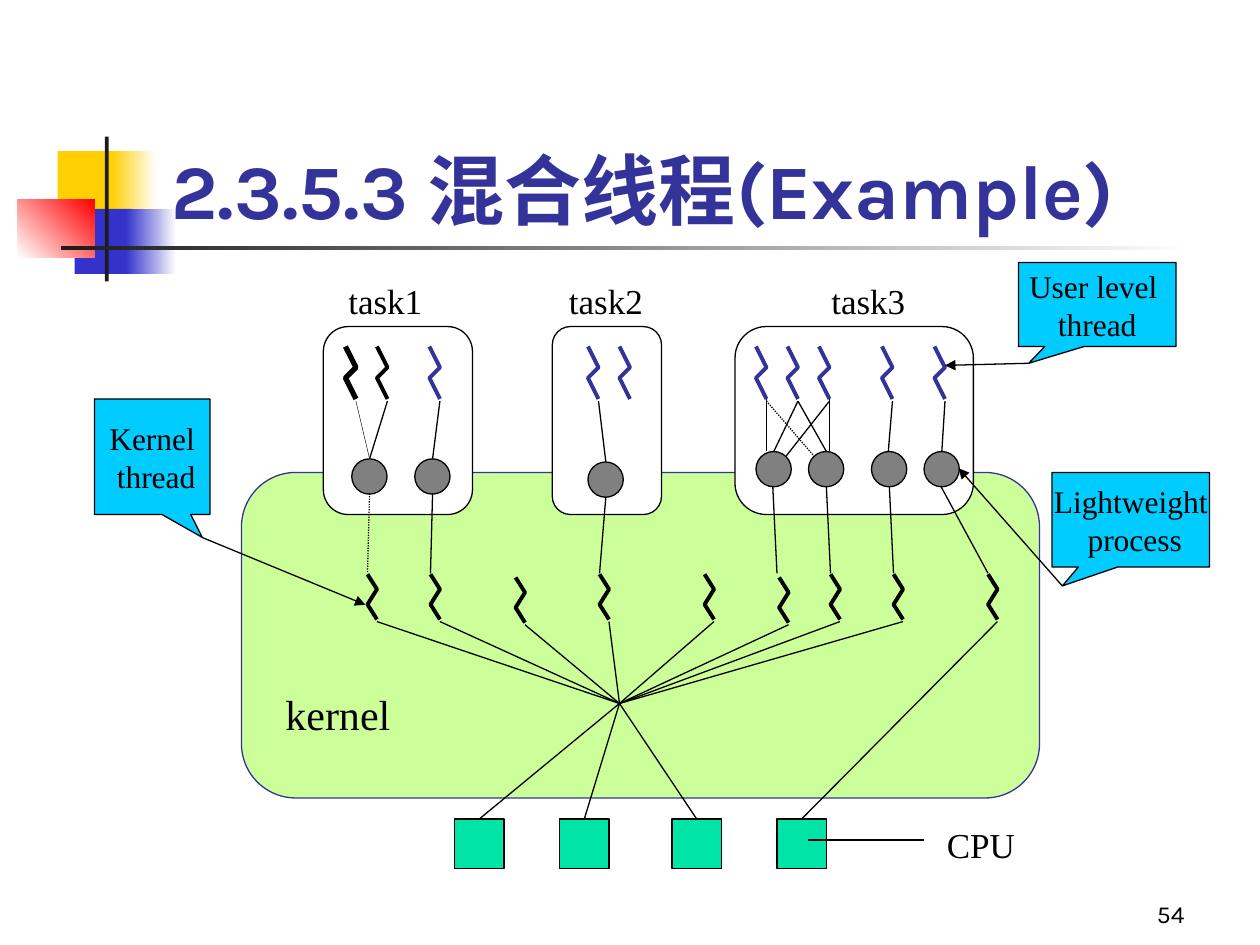
from dataclasses import dataclass
from typing import Optional

from lxml import etree
from pptx import Presentation
from pptx import util as u
from pptx.dml.color import RGBColor
from pptx.enum import dml, shapes, text
from pptx.oxml import ns

BLACK = RGBColor(0x00, 0x00, 0x00)
WHITE = RGBColor(0xFF, 0xFF, 0xFF)
NAVY = RGBColor(0x33, 0x33, 0x99)
BLUE = RGBColor(0x33, 0x33, 0xCC)
YELLOW = RGBColor(0xFF, 0xCF, 0x01)
RED = RGBColor(0xFF, 0x00, 0x00)
CHARCOAL = RGBColor(0x1C, 0x1C, 0x1C)
LIME = RGBColor(0xCC, 0xFF, 0x99)
MINT = RGBColor(0x00, 0xE4, 0xA8)
CYAN = RGBColor(0x00, 0xCC, 0xFF)
GRAY = RGBColor(0x80, 0x80, 0x80)

SERIF, SANS = "Times New Roman", "Karla"
COLUMNS = 120
HUB = (59, 67)
USER_ROW, KERNEL_ROW = 33, 54.7
USER_ZIGZAG = [(0, 0), (1, 2), (0, 3), (1, 5)]
KERNEL_ZIGZAG = [(0, 0), (0.9, 1.43), (0, 2.87), (0.9, 4.3)]
CALLOUT_TIP = (0.435, 0.7)

Kind = shapes.MSO_SHAPE
Align = text.PP_ALIGN
Anchor = text.MSO_ANCHOR

deck = Presentation()
deck.slide_width, deck.slide_height = u.Inches(10), u.Inches(7.5)
page = deck.slides.add_slide(deck.slide_layouts[5])


@dataclass
class Area:
    left: float
    top: float
    width: float
    height: float

    def emu(self) -> list:
        return [grid(n) for n in (self.left, self.top, self.width, self.height)]


@dataclass
class Thread:
    left: float
    color: RGBColor = NAVY
    weight: float = 2.25


@dataclass
class Link:
    start: tuple
    end: tuple
    weight: float = 0.75
    dotted: bool = False


@dataclass
class Callout:
    area: Area
    label: str
    target: tuple
    side: int = -1


def grid(cells: float) -> u.Emu:
    return u.Emu(round(cells * deck.slide_width / COLUMNS))


def write(box, words: str, *, size: float, font: str = SERIF, color: RGBColor = BLACK,
          bold: bool = False, align=Align.LEFT, anchor=Anchor.TOP, wrap: bool = True,
          fit=text.MSO_AUTO_SIZE.NONE) -> None:
    frame = box.text_frame
    frame.text = words
    frame.word_wrap, frame.vertical_anchor, frame.auto_size = wrap, anchor, fit
    for para in frame.paragraphs:
        para.alignment = align
        for span in para.runs:
            span.font.name, span.font.size = font, u.Pt(size)
            span.font.bold, span.font.color.rgb = bold, color


def style(shape, fill: Optional[RGBColor], line: Optional[RGBColor], weight: float = 0.75):
    shape.shadow.inherit = False
    if fill is None:
        shape.fill.background()
    else:
        shape.fill.solid()
        shape.fill.fore_color.rgb = fill
    if line is None:
        shape.line.fill.background()
    else:
        shape.line.color.rgb, shape.line.width = line, u.Pt(weight)
    return shape


def draw(kind, area: Area, fill: RGBColor, line: Optional[RGBColor] = BLACK):
    return style(page.shapes.add_shape(kind, *area.emu()), fill, line)


def fade(area: Area, first: RGBColor, last: RGBColor, angle: float = 0) -> None:
    fill = draw(Kind.RECTANGLE, area, first, None).fill
    fill.gradient()
    fill.gradient_angle = angle
    for stop, color in zip(fill.gradient_stops, (first, last)):
        stop.color.rgb = color


def label(area: Area, words: str, **format) -> None:
    write(page.shapes.add_textbox(*area.emu()), words, **format)


def zigzag(left: float, top: float, steps: list, fill, color=BLACK, weight=2.25) -> None:
    points = [(grid(left + x), grid(top + y)) for x, y in steps]
    builder = page.shapes.build_freeform(*points[0])
    builder.add_line_segments(points[1:], close=False)
    style(builder.convert_to_shape(), fill, color, weight)


def connect(link: Link, arrow: bool = False, target=None) -> None:
    line = page.shapes.add_connector(shapes.MSO_CONNECTOR.STRAIGHT,
                                     *[grid(n) for n in (*link.start, *link.end)])
    line.line.color.rgb, line.line.width = BLACK, u.Pt(link.weight)
    if link.dotted:
        line.line.dash_style = dml.MSO_LINE.ROUND_DOT
    if target is not None:
        line.end_connect(target, 0)
    properties = line.element.spPr
    if arrow:
        etree.SubElement(properties.find(ns.qn("a:ln")), ns.qn("a:tailEnd"), type="triangle")
    etree.SubElement(properties, ns.qn("a:effectLst"))


def point_out(callout: Callout) -> None:
    area = callout.area
    across, down = callout.side * CALLOUT_TIP[0], CALLOUT_TIP[1]
    shape = draw(Kind.RECTANGULAR_CALLOUT, area, CYAN)
    shape.adjustments[0], shape.adjustments[1] = across, down
    write(shape, callout.label, size=18, align=Align.CENTER, anchor=Anchor.MIDDLE, wrap=False)
    tip = (area.left + area.width * (0.5 + across), area.top + area.height * (0.5 + down))
    connect(Link(tip, callout.target), arrow=True)


def main() -> None:
    draw(Kind.RECTANGLE, Area(5.5, 14.4, 5.8, 6.2), YELLOW, None)
    fade(Area(10.6, 14.4, 4.3, 6.2), YELLOW, WHITE)
    draw(Kind.RECTANGLE, Area(7.1, 19.9, 5.5, 6.2), BLUE, None)
    fade(Area(12, 19.9, 4.8, 6.2), BLUE, WHITE)
    fade(Area(1.7, 19, 7.3, 5.5), WHITE, RED, 45)
    draw(Kind.RECTANGLE, Area(10, 13, 0.36, 13.8), CHARCOAL, None)
    fade(Area(5.8, 23.4, 108, 0.4), CHARCOAL, WHITE)

    title = page.shapes.title
    title.left, title.top, title.width, title.height = Area(15.1, 8, 102.2, 15).emu()
    write(title, "2.3.5.3 混合线程(Example)", size=44, font=SANS, color=NAVY, bold=True,
          anchor=Anchor.BOTTOM)
    page.shapes.element.append(title.element)

    draw(Kind.ROUNDED_RECTANGLE, Area(23, 45, 76, 31), LIME, NAVY)
    cores = [draw(Kind.RECTANGLE, Area(left, 78, 4.7, 4.7), MINT)
             for left in (43.3, 53.3, 64, 74)]
    connect(Link((77, 80), (88, 80)))

    for kind, left, width in [(Kind.FLOWCHART_ALTERNATE_PROCESS, 30.8, 14.2),
                              (Kind.ROUNDED_RECTANGLE, 52.6, 10.4),
                              (Kind.ROUNDED_RECTANGLE, 70, 22.7)]:
        draw(kind, Area(left, 31.1, width, 17.9), WHITE)

    for top, lefts in [(43.7, (33.5, 39.5)), (44, (56,)), (43, (72, 77, 83, 88))]:
        for left in lefts:
            draw(Kind.OVAL, Area(left, top, 3.36, 3.36), GRAY)

    user_threads = [Thread(32.9, BLACK, 3), Thread(35.9, BLACK)]
    user_threads += [Thread(left) for left in (40.9, 56, 59, 72, 75, 78, 84, 89)]
    for thread in user_threads:
        zigzag(thread.left, USER_ROW, USER_ZIGZAG, WHITE, thread.color, thread.weight)

    for link in [Link((33.9, 38.2), (35.2, 43.7), weight=0.25),
                 Link((36.9, 38.2), (35.2, 43.7)), Link((41.9, 38.2), (41.2, 43.7)),
                 Link((57, 38.2), (57.7, 44)), Link((79, 38.2), (74.9, 43.4)),
                 Link((76, 38.2), (78.7, 43)), Link((73, 38.2), (77.5, 43.4), dotted=True),
                 Link((76, 38.2), (73.7, 43)), Link((85, 38.2), (84.6, 43)),
                 Link((90, 38.2), (89.7, 43)), Link((73, 38), (73, 43)),
                 Link((79, 38), (79, 43)),
                 Link((35.2, 47), (35, 54.6), dotted=True), Link((41.2, 47), (41, 54.6)),
                 Link((57.7, 47.3), (57.1, 54.6)), Link((73.6, 46.3), (74, 54.6)),
                 Link((78.7, 46.3), (79.1, 54.6)), Link((84.7, 46.3), (85.1, 54.6)),
                 Link((89.6, 46.3), (94.1, 54.6))]:
        connect(link)

    shared = {35: 0, 41: 0, 49.1: 0.3, 57.1: 0, 67.1: 0, 74.2: 0.3, 79.1: 0, 85.1: 0}
    for left, drop in shared.items():
        zigzag(left, KERNEL_ROW + drop, KERNEL_ZIGZAG, None)
        connect(Link((left + 0.9, KERNEL_ROW + drop + 4.5), HUB))
    for core in cores[:3]:
        connect(Link(HUB, HUB), target=core)
    zigzag(94.1, KERNEL_ROW, KERNEL_ZIGZAG, None)
    connect(Link((95, KERNEL_ROW + 4.5), HUB), target=cores[3])

    grow = text.MSO_AUTO_SIZE.SHAPE_TO_FIT_TEXT
    for number, (left, width) in enumerate([(32, 11), (53, 10), (78, 11)], 1):
        label(Area(left, 26, width, 5.3), f"task{number}", size=20, fit=grow)
    label(Area(26, 65, 16, 6), "kernel", size=24, fit=grow)
    label(Area(89, 77.8, 9, 5.3), "CPU", size=20, fit=grow)

    for callout in [Callout(Area(97, 25, 15, 8), "User level \nthread", (90, 34.8)),
                    Callout(Area(100.2, 45, 15, 9), "Lightweight\n process", (91.3, 44.6)),
                    Callout(Area(9, 38, 11, 11), "Kernel\n thread", (34.8, 57.6), side=1)]:
        point_out(callout)

    label(Area(89, 83, 25, 6), "54", size=14, font=SANS, align=Align.RIGHT,
          anchor=Anchor.BOTTOM)
    deck.save("out.pptx")


if __name__ == "__main__":
    main()
